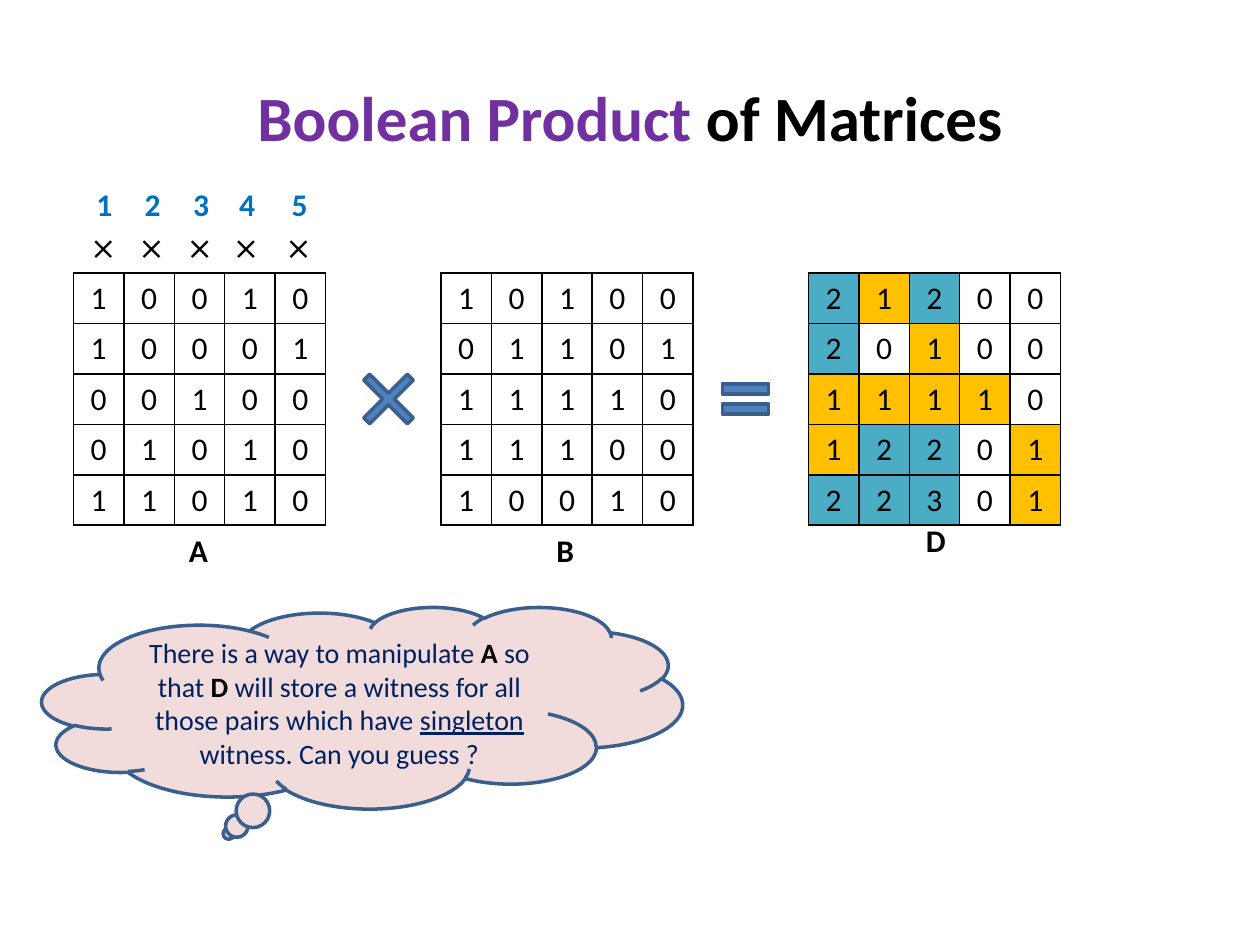
from lxml import etree
from pptx import Presentation
from pptx import util as u
from pptx.dml.color import RGBColor
from pptx.enum import shapes, text
from pptx.oxml import ns

GRID = u.Inches(1) // 12
COLUMNS, ROWS = 120, 90
CELL = 4.8
TABLE_TOP = 26

BLACK = RGBColor(0x00, 0x00, 0x00)
PURPLE = RGBColor(0x70, 0x30, 0xA0)
BLUE = RGBColor(0x00, 0x70, 0xC0)
NAVY = RGBColor(0x00, 0x20, 0x60)
TEAL = RGBColor(0x4B, 0xAC, 0xC6)
GOLD = RGBColor(0xFF, 0xC0, 0x00)
STEEL = RGBColor(0x4F, 0x81, 0xBD)
OUTLINE = RGBColor(0x3A, 0x5F, 0x8C)
PINK = RGBColor(0xF2, 0xDC, 0xDB)

MATRICES = [
    ("A", 7, 9.8, 50, ["10010", "10001", "00100", "01010", "11010"]),
    ("B", 42, 9.8, 50, ["10100", "01101", "11110", "11100", "10010"]),
    ("D", 77, 10, 49, ["21200", "20100", "11110", "12201", "22301"]),
]
MARK_LEFTS = [8, 12.6, 17.2, 21.6, 26.6]


def place(*lengths):
    return [u.Emu(round(length * GRID)) for length in lengths]


def write(paragraph, content, size=18, color=BLACK, bold=False,
          underline=False, font="Calibri", align=None):
    if align is not None:
        paragraph.alignment = align
    run = paragraph.add_run()
    run.text = content
    run.font.name = font
    run.font.size = u.Pt(size)
    run.font.bold = bold
    run.font.underline = underline
    run.font.color.rgb = color


def add_label(parent, box, content, **style):
    frame = parent.shapes.add_textbox(*place(*box)).text_frame
    frame.word_wrap = False
    frame.auto_size = text.MSO_AUTO_SIZE.SHAPE_TO_FIT_TEXT
    write(frame.paragraphs[0], content, **style)


def add_title(slide):
    frame = slide.shapes.add_textbox(*place(6, 3.6, 108, 15)).text_frame
    frame.word_wrap = True
    frame.vertical_anchor = text.MSO_ANCHOR.MIDDLE
    paragraph = frame.paragraphs[0]
    paragraph.alignment = text.PP_ALIGN.CENTER
    write(paragraph, "Boolean Product ", size=36, color=PURPLE, bold=True)
    write(paragraph, "of Matrices", size=36, bold=True)


def set_borders(cell):
    properties = cell._tc.get_or_add_tcPr()
    for position, side in enumerate(("a:lnL", "a:lnR", "a:lnT", "a:lnB")):
        line = etree.Element(ns.qn(side), w=str(u.Pt(1)))
        fill = etree.SubElement(line, ns.qn("a:solidFill"))
        etree.SubElement(fill, ns.qn("a:srgbClr"), val=str(BLACK))
        properties.insert(position, line)


def add_matrix(slide, left, values, shaded):
    count = len(values)
    extent = count * CELL
    table = slide.shapes.add_table(
        count, count, *place(left, TABLE_TOP, extent, extent)).table
    table.first_row = table.horz_banding = False
    for row, digits in enumerate(values):
        for column, digit in enumerate(digits):
            cell = table.cell(row, column)
            if shaded and digit != "0":
                cell.fill.solid()
                cell.fill.fore_color.rgb = GOLD if digit == "1" else TEAL
            else:
                cell.fill.background()
            set_borders(cell)
            write(cell.text_frame.paragraphs[0], digit,
                  align=text.PP_ALIGN.CENTER)


def add_preset(slide, kind, box, fill, adjustments=()):
    shape = slide.shapes.add_shape(kind, *place(*box))
    shape.shadow.inherit = False
    shape.fill.solid()
    shape.fill.fore_color.rgb = fill
    shape.line.color.rgb = OUTLINE
    shape.line.width = u.Pt(2)
    for index, value in enumerate(adjustments):
        shape.adjustments[index] = value
    return shape


def add_column_mark(slide, number, left):
    group = slide.shapes.add_group_shape()
    add_label(group, (left, 17, 4, CELL), str(number), color=BLUE, bold=True)
    add_label(group, (left - 0.6, 21.1, 4.6, CELL), "⨯",
              font="Times New Roman")


def add_thought(slide):
    cloud = add_preset(slide, shapes.MSO_SHAPE.CLOUD_CALLOUT,
                       (4, 57.8, 61, 19.2), PINK)
    frame = cloud.text_frame
    frame.word_wrap = True
    frame.vertical_anchor = text.MSO_ANCHOR.MIDDLE
    paragraph = frame.paragraphs[0]
    paragraph.alignment = text.PP_ALIGN.CENTER
    plain = {"color": NAVY}
    strong = {"bold": True}
    for content, style in [
        ("There is a way to manipulate ", plain),
        ("A ", strong),
        ("so that ", plain),
        ("D ", strong),
        ("will store a witness for all those pairs which have ", plain),
        ("singleton", {"color": NAVY, "underline": True}),
        (" witness. Can you guess ?", plain),
    ]:
        write(paragraph, content, size=16, **style)


def main():
    presentation = Presentation()
    presentation.slide_width, presentation.slide_height = place(COLUMNS, ROWS)
    slide = presentation.slides.add_slide(presentation.slide_layouts[6])
    add_title(slide)
    for name, left, offset, label_top, values in MATRICES:
        add_matrix(slide, left, values, shaded=name == "D")
        add_label(slide, (left + offset, label_top, 4.2, CELL), name, bold=True)
    add_preset(slide, shapes.MSO_SHAPE.MATH_MULTIPLY, (33, 34, 8, 8),
               STEEL, [0.1])
    add_preset(slide, shapes.MSO_SHAPE.MATH_EQUAL, (68, 34, 6, 8),
               STEEL, [0.12, 0.12])
    for number, left in enumerate(MARK_LEFTS, start=1):
        add_column_mark(slide, number, left)
    add_thought(slide)
    presentation.save("out.pptx")


if __name__ == "__main__":
    main()
